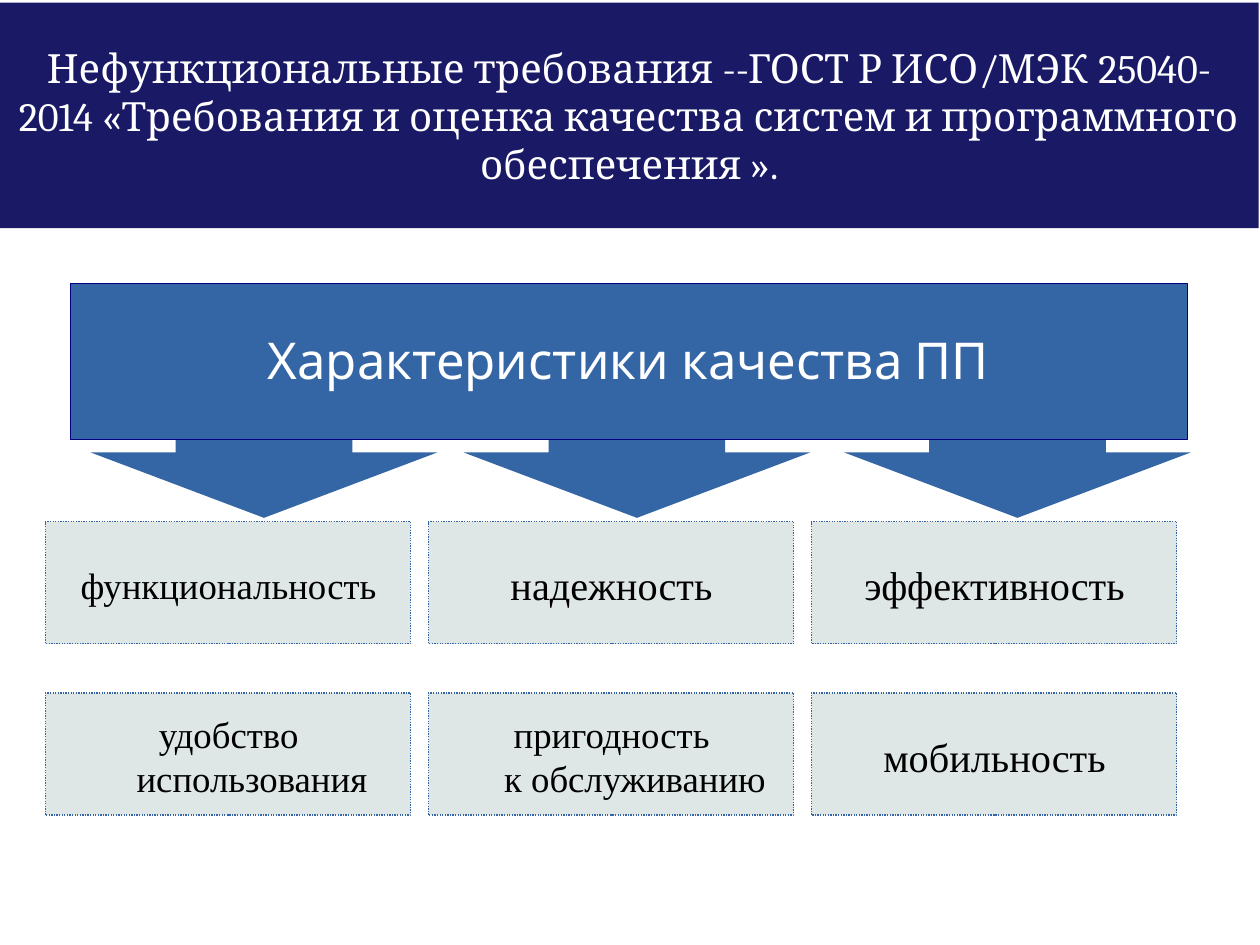
import pptx
import pptx.dml.color
import pptx.enum.dml
import pptx.enum.shapes
import pptx.enum.text
import pptx.util

Inches = pptx.util.Inches
Pt = pptx.util.Pt
SHAPES = pptx.enum.shapes.MSO_SHAPE

NAVY, BLUE, OUTLINE = "191966", "3465A4", "000080"
PALE, WHITE, BLACK = "DEE7E5", "FFFFFF", "000000"

COLUMN_LEFT, COLUMN_STEP = 0.36, 3.04
ROW_TOP, ROW_STEP = 4.14, 1.36
CHARACTERISTICS = [
    [("функциональность", 21), ("надежность", 23), ("эффективность", 23)],
    [("удобство использования", 21), ("пригодность\nк обслуживанию", 21), ("мобильность", 23)],
]
ARROW_LEFTS = [0.72, 3.68, 6.7]


def rgb(color):
    return pptx.dml.color.RGBColor.from_string(color)


class SlideBuilder:
    def __init__(self, slide):
        self.slide = slide

    def fill(self, shape, color):
        shape.fill.solid()
        shape.fill.fore_color.rgb = rgb(color)

    def add_text(self, shape, text, size, font, color, margins):
        """Put centred text in a shape; margins are left, top, right, bottom."""
        frame = shape.text_frame
        frame.word_wrap = True
        frame.auto_size = pptx.enum.text.MSO_AUTO_SIZE.NONE
        frame.vertical_anchor = pptx.enum.text.MSO_ANCHOR.MIDDLE
        (frame.margin_left, frame.margin_top,
         frame.margin_right, frame.margin_bottom) = map(Inches, margins)
        paragraph = frame.paragraphs[0]
        paragraph.alignment = pptx.enum.text.PP_ALIGN.CENTER
        for index, line in enumerate(text.split("\n")):
            if index:
                paragraph.add_line_break()
            run = paragraph.add_run()
            run.text = line
            run.font.size = Pt(size)
            run.font.name = font
            run.font.color.rgb = rgb(color)
        return paragraph

    def title(self, text):
        shape = self.slide.shapes.title
        shape.left, shape.top = Inches(0), Inches(0.02)
        shape.width, shape.height = Inches(9.99), Inches(1.79)
        self.fill(shape, NAVY)
        self.add_text(shape, text, 23, "Cambria", WHITE, (0.08, 0.04, 0.08, 0.04))

    def block(self, kind, left, top, width, height, color):
        shape = self.slide.shapes.add_shape(
            kind, Inches(left), Inches(top), Inches(width), Inches(height))
        shape.shadow.inherit = False
        self.fill(shape, color)
        shape.line.fill.background()
        return shape

    def outline(self, shape, color, width):
        shape.line.color.rgb = rgb(color)
        shape.line.width = Pt(width)

    def characteristic(self, left, top, text, size):
        shape = self.block(SHAPES.RECTANGLE, left, top, 2.9, 0.97, PALE)
        self.outline(shape, BLUE, 0.75)
        shape.line.dash_style = pptx.enum.dml.MSO_LINE.ROUND_DOT
        paragraph = self.add_text(shape, text, size, "Times New Roman", BLACK, (0, 0.03, 0, 0))
        paragraph.space_after = Pt(12.9)
        properties = paragraph._p.get_or_add_pPr()
        properties.set("marL", str(Inches(0.38)))
        properties.set("indent", str(Inches(-0.37)))

    def arrow(self, left):
        shape = self.block(SHAPES.DOWN_ARROW, left, 3.2, 2.75, 0.91, BLUE)
        shape.adjustments[0] = 0.51
        shape.adjustments[1] = 0.57

    def banner(self, text):
        shape = self.block(SHAPES.RECTANGLE, 0.56, 2.25, 8.86, 1.24, BLUE)
        self.outline(shape, OUTLINE, 0.25)
        paragraph = self.add_text(shape, text, 29, "Karla", WHITE, (0.03, 0.04, 0.03, 0.03))
        paragraph.line_spacing = 0.97


def main():
    presentation = pptx.Presentation()
    presentation.slide_width = Inches(10)
    presentation.slide_height = Inches(7.5)
    builder = SlideBuilder(presentation.slides.add_slide(presentation.slide_layouts[5]))

    builder.title("Нефункциональные требования --ГОСТ Р ИСО/МЭК 25040-2014 "
                  "«Требования и оценка качества систем и программного обеспечения ».")
    for row, cells in enumerate(CHARACTERISTICS):
        for column, (text, size) in enumerate(cells):
            builder.characteristic(COLUMN_LEFT + column * COLUMN_STEP,
                                   ROW_TOP + row * ROW_STEP, text, size)
    for left in ARROW_LEFTS:
        builder.arrow(left)
    builder.banner("Характеристики качества ПП")

    presentation.save("out.pptx")


if __name__ == "__main__":
    main()
